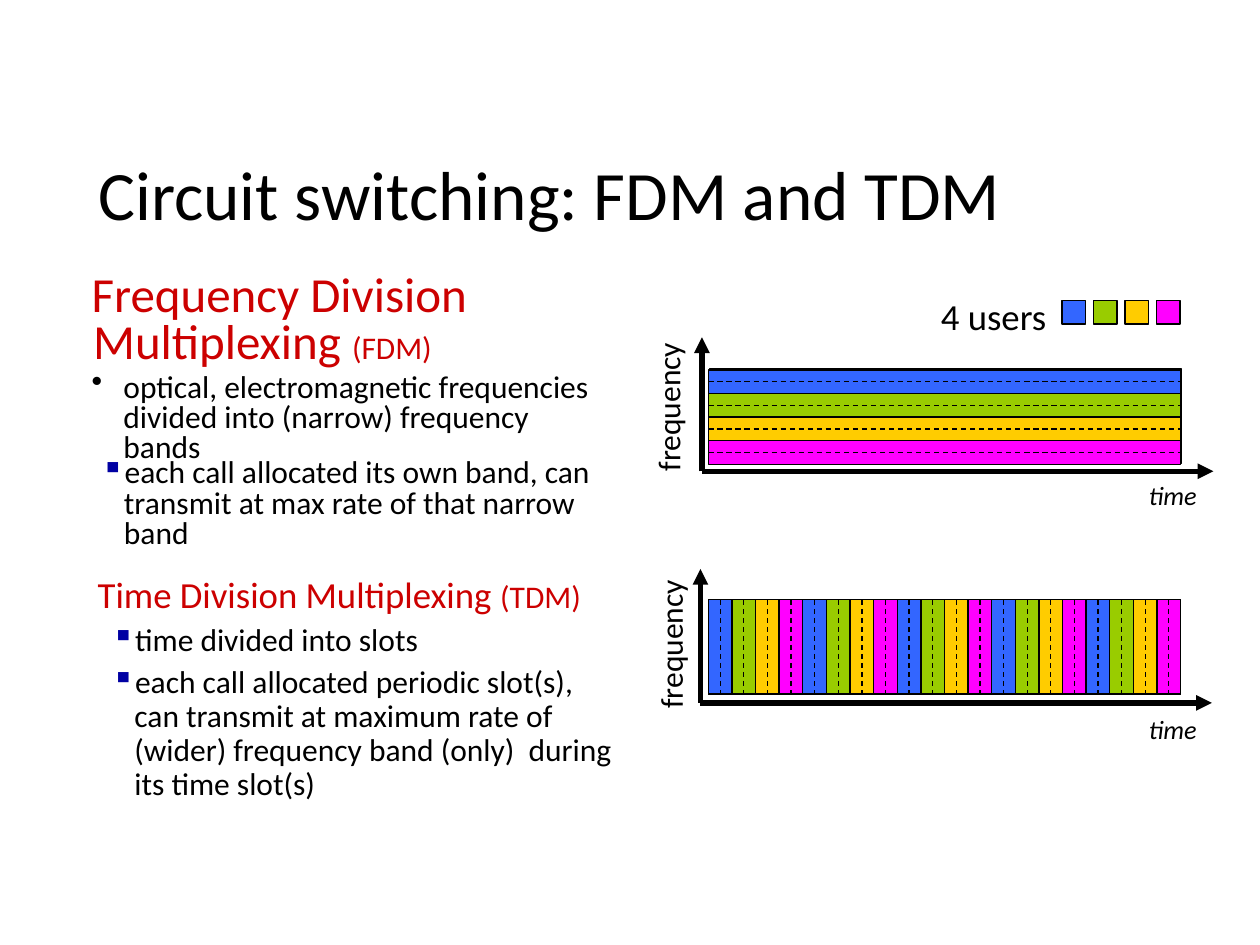
"""Build a slide that compares frequency and time division multiplexing."""
from lxml.etree import SubElement
from pptx import Presentation
from pptx.dml.color import RGBColor
from pptx.enum.dml import MSO_LINE
from pptx.enum.shapes import MSO_CONNECTOR, MSO_SHAPE
from pptx.enum.text import MSO_ANCHOR, MSO_AUTO_SIZE, PP_ALIGN
from pptx.oxml.ns import qn
from pptx.util import Cm, Pt

BLACK, RED, NAVY = "000000", "CC0000", "0000A3"
FRAME_FILL = "5B9BD5"
USER_COLORS = ["3366FF", "99CC00", "FFCC00", "FF00FF"]
LEFT, WIDTH, HEIGHT = 14.28, 9.52, 1.9
SLOTS = 20
SLOT = WIDTH / SLOTS
BAND = HEIGHT / len(USER_COLORS)
FDM_TOP, TDM_TOP = 7.46, 12.09
SQUARE = "▪"


def color(value):
    return RGBColor.from_string(value)


class SlideBuilder:
    font_name = "Calibri"

    def __init__(self, presentation):
        self.slide = presentation.slides.add_slide(presentation.slide_layouts[5])

    def style_run(self, run, size, value=BLACK, italic=False):
        run.font.name = self.font_name
        run.font.size = Pt(size)
        run.font.color.rgb = color(value)
        run.font.bold = False
        run.font.italic = italic

    def title(self, text, left, top, width, height):
        shape = self.slide.shapes.title
        shape.left, shape.top = Cm(left), Cm(top)
        shape.width, shape.height = Cm(width), Cm(height)
        frame = shape.text_frame
        frame.text = text
        frame.auto_size = MSO_AUTO_SIZE.NONE
        frame.vertical_anchor = MSO_ANCHOR.MIDDLE
        paragraph = frame.paragraphs[0]
        paragraph.alignment = PP_ALIGN.LEFT
        paragraph.line_spacing = 0.9
        self.style_run(paragraph.runs[0], 39.6)

    def label(self, text, left, top, width, height, size, italic=False, rotation=0):
        shape = self.slide.shapes.add_textbox(Cm(left), Cm(top), Cm(width), Cm(height))
        shape.rotation = rotation
        frame = shape.text_frame
        frame.text = text
        frame.word_wrap = False
        frame.auto_size = MSO_AUTO_SIZE.SHAPE_TO_FIT_TEXT
        self.style_run(frame.paragraphs[0].runs[0], size, italic=italic)

    def text_block(self, left, top, width, height, inset, spacing, gap, paragraphs):
        shape = self.slide.shapes.add_textbox(Cm(left), Cm(top), Cm(width), Cm(height))
        frame = shape.text_frame
        frame.word_wrap = True
        frame.margin_left = frame.margin_right = Cm(inset)
        frame.margin_top = frame.margin_bottom = Cm(inset / 2)
        for index, (bullet, indent, hanging, runs) in enumerate(paragraphs):
            paragraph = frame.add_paragraph() if index else frame.paragraphs[0]
            paragraph.line_spacing = spacing
            if index:
                paragraph.space_before = Pt(gap)
            properties = paragraph._p.get_or_add_pPr()
            properties.set("marL", str(Cm(indent)))
            properties.set("indent", str(-Cm(hanging)))
            if bullet == SQUARE:
                bullet_color = SubElement(properties, qn("a:buClr"))
                SubElement(bullet_color, qn("a:srgbClr")).set("val", NAVY)
            if bullet:
                SubElement(properties, qn("a:buChar")).set("char", bullet)
            for text, size, value in runs:
                run = paragraph.add_run()
                run.text = text
                self.style_run(run, size, value)

    def rectangle(self, left, top, width, height, fill):
        shape = self.slide.shapes.add_shape(
            MSO_SHAPE.RECTANGLE, Cm(left), Cm(top), Cm(width), Cm(height))
        shape.shadow.inherit = False
        shape.fill.solid()
        shape.fill.fore_color.rgb = color(fill)
        shape.line.color.rgb = color(BLACK)
        shape.line.width = Pt(0.75)
        return shape

    def line(self, start_x, start_y, end_x, end_y, width=0.75, arrow=False):
        connector = self.slide.shapes.add_connector(
            MSO_CONNECTOR.STRAIGHT, Cm(start_x), Cm(start_y), Cm(end_x), Cm(end_y))
        connector.line.color.rgb = color(BLACK)
        connector.line.width = Pt(width)
        if arrow:
            SubElement(connector.line._get_or_add_ln(), qn("a:tailEnd")).set("type", "triangle")
        SubElement(connector._element.spPr, qn("a:effectLst"))
        return connector

    def center_line(self, shape, begin_side, end_side):
        connector = self.line(0, 0, 0, 0)
        connector.begin_connect(shape, begin_side)
        connector.end_connect(shape, end_side)
        connector.line.dash_style = MSO_LINE.DASH

    def axes(self, left, base, frequency_left, frequency_top, time_top):
        self.line(left, base, left, base - 2.7, 3, arrow=True)
        self.label("frequency", frequency_left, frequency_top, 3.15, 1.02, 18, rotation=270)
        self.line(left, base, left + 10.31, base, 3, arrow=True)
        self.label("time", 22.91, time_top, 1.5, 0.89, 15, italic=True)


def main():
    presentation = Presentation()
    presentation.slide_width, presentation.slide_height = Cm(25.4), Cm(19.05)
    builder = SlideBuilder(presentation)
    builder.title("Circuit switching: FDM and TDM", 1.73, 3.07, 21.89, 1.85)

    builder.axes(14.15, 9.5, 11.89, 7.67, 9.53)
    builder.rectangle(LEFT + 0.02, FDM_TOP - 0.02, WIDTH, HEIGHT, FRAME_FILL)
    bands = [builder.rectangle(LEFT, FDM_TOP + index * BAND, WIDTH, BAND, fill)
             for index, fill in enumerate(USER_COLORS)]

    builder.axes(14.12, 14.17, 11.94, 12.45, 14.25)
    builder.rectangle(LEFT, TDM_TOP, WIDTH, HEIGHT, FRAME_FILL)
    slots = [builder.rectangle(LEFT + index * SLOT, TDM_TOP, SLOT, HEIGHT,
                               USER_COLORS[index % len(USER_COLORS)])
             for index in range(SLOTS)]

    for index in range(1, len(bands)):
        border = FDM_TOP + index * BAND
        builder.line(LEFT, border, LEFT + WIDTH, border)
    for index in range(1, SLOTS):
        border = LEFT + index * SLOT
        builder.line(border, TDM_TOP, border, TDM_TOP + HEIGHT)
    for band in bands:
        builder.center_line(band, 1, 3)
    for slot in slots:
        builder.center_line(slot, 0, 2)

    builder.label("4 users", 18.72, 5.79, 2.67, 1.14, 21)
    for index, fill in enumerate(USER_COLORS):
        builder.rectangle(21.41 + index * 0.635, 6.06, SLOT, SLOT, fill)

    builder.text_block(1.6, 5.41, 10.97, 4.11, 0.25, 0.8, 3, [
        (None, 0.03, 0.03, [("Frequency Division Multiplexing ", 28, RED),
                            ("(FDM)", 18, RED)]),
        ("•", 0.64, 0.64, [("optical, electromagnetic frequencies divided into "
                            "(narrow) frequency bands", 18, BLACK)])])
    builder.text_block(1.78, 11.53, 11, 5.13, 0.19, 0.9, 4.5, [
        (None, 0.03, 0.03, [("Time Division Multiplexing ", 21, RED),
                            ("(TDM)", 18, RED)]),
        (SQUARE, 0.74, 0.46, [("time divided into slots", 18, BLACK)])])
    builder.text_block(1.57, 9.17, 10.97, 2.16, 0.19, 0.8, 3, [
        (SQUARE, 0.74, 0.46, [("each call allocated its own band, can transmit at "
                               "max rate of that narrow band", 18, BLACK)])])
    builder.text_block(1.78, 13.34, 11, 5.13, 0.19, 0.9, 4.5, [
        (SQUARE, 0.74, 0.46, [("each call allocated periodic slot(s), can transmit at "
                               "maximum rate of (wider) frequency band (only)  during "
                               "its time slot(s)", 18, BLACK)])])
    presentation.save("out.pptx")


if __name__ == "__main__":
    main()
